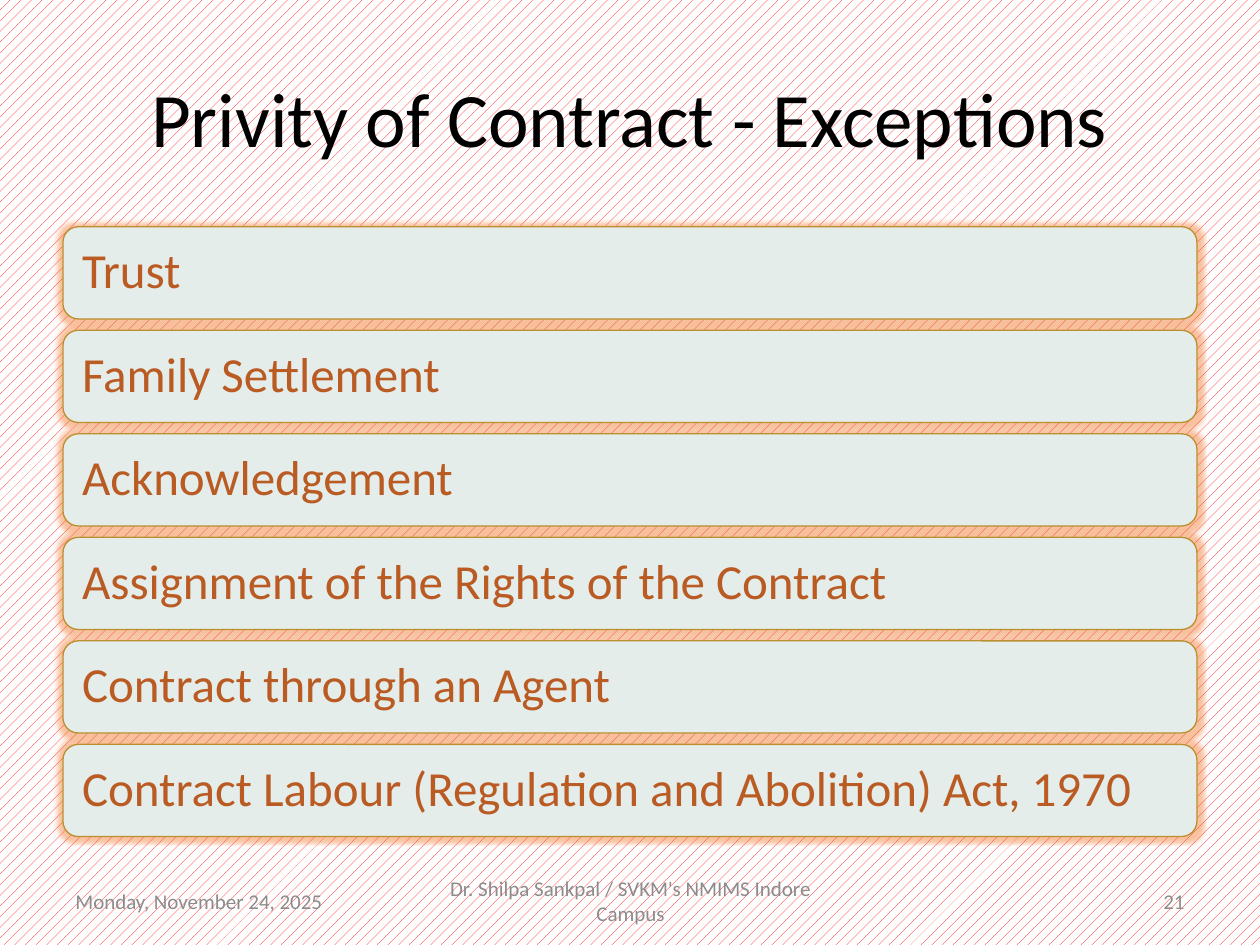
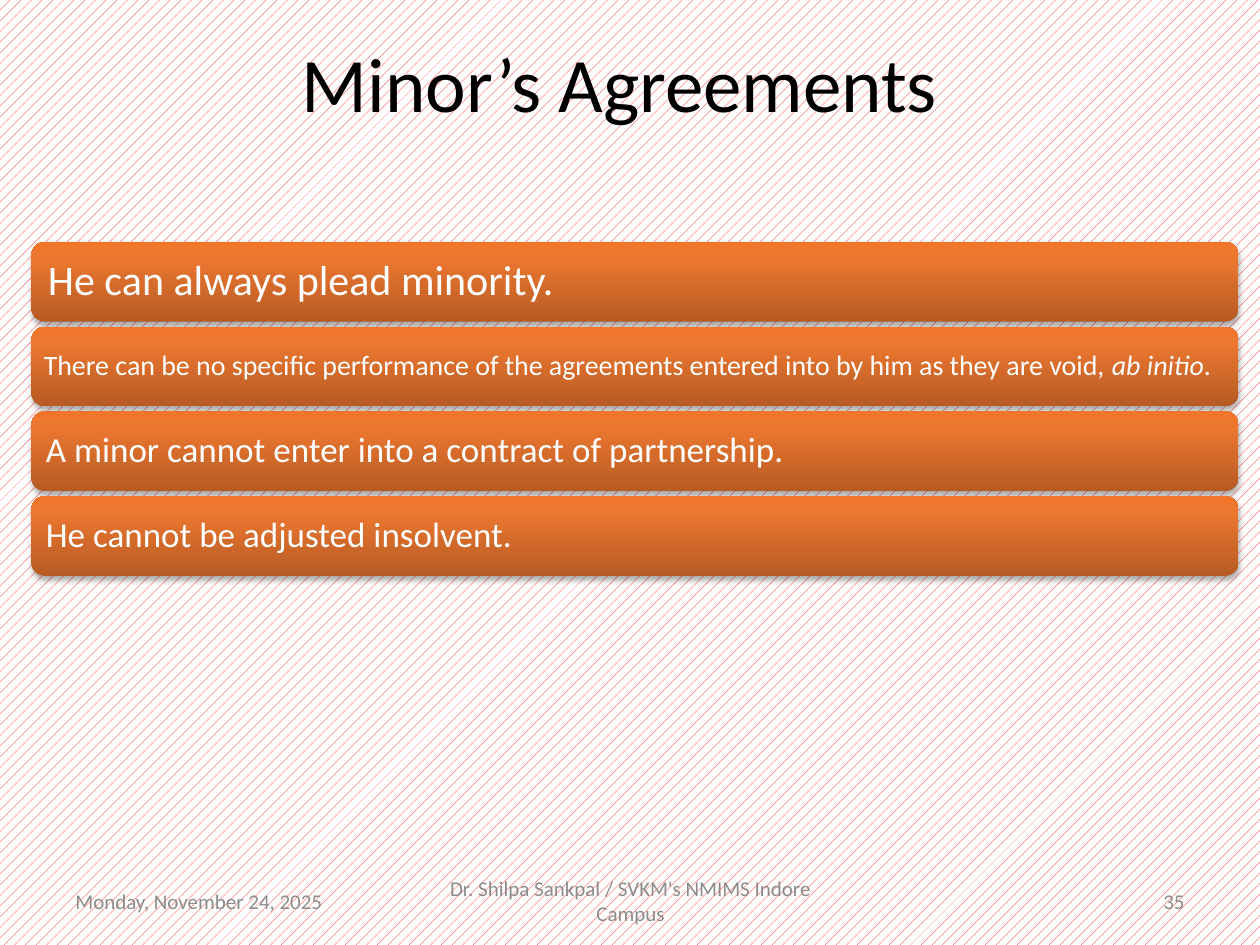
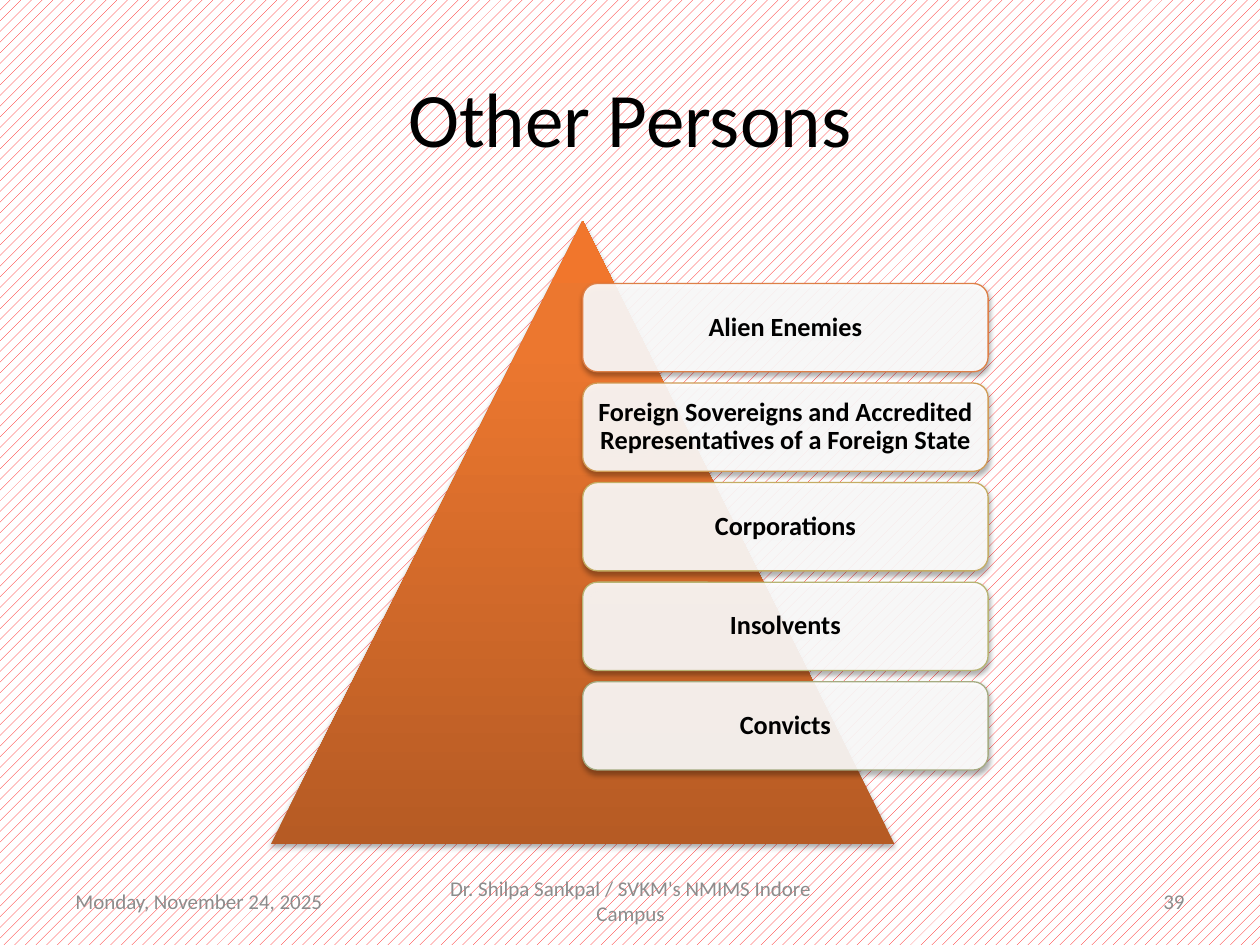
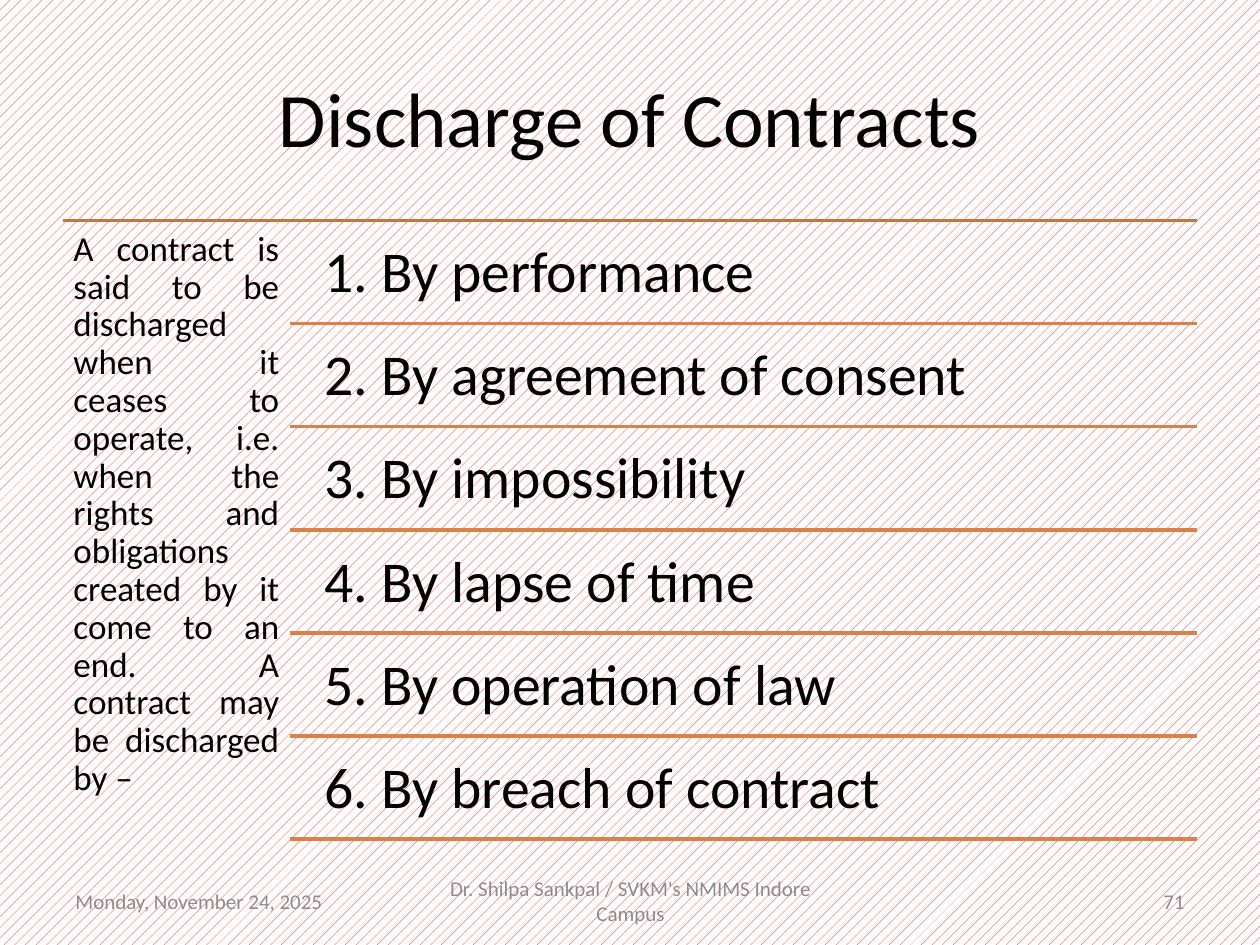
from copy import deepcopy

from lxml import etree
from pptx import Presentation
from pptx.dml.color import RGBColor
from pptx.enum.dml import MSO_PATTERN
from pptx.enum.shapes import MSO_CONNECTOR, MSO_SHAPE
from pptx.enum.text import MSO_ANCHOR, PP_ALIGN
from pptx.oxml.ns import qn
from pptx.util import Inches, Pt

LEFT, CENTER, RIGHT, JUSTIFY = PP_ALIGN.LEFT, PP_ALIGN.CENTER, PP_ALIGN.RIGHT, PP_ALIGN.JUSTIFY
TOP, MIDDLE = MSO_ANCHOR.TOP, MSO_ANCHOR.MIDDLE
ROUNDED, TRIANGLE = MSO_SHAPE.ROUNDED_RECTANGLE, MSO_SHAPE.ISOSCELES_TRIANGLE
STRAIGHT = MSO_CONNECTOR.STRAIGHT
DOTS = MSO_PATTERN.PERCENT_20

FONT = "Calibri"
BLACK = RGBColor(0x00, 0x00, 0x00)
WHITE = RGBColor(0xFF, 0xFF, 0xFF)
RED = RGBColor(0xFF, 0x00, 0x00)
GREY = RGBColor(0x8C, 0x8C, 0x8C)
RUST = RGBColor(0xB9, 0x5B, 0x22)
MIST = RGBColor(0xE5, 0xED, 0xEB)
OCHRE = RGBColor(0xBA, 0x8F, 0x2D)
ORANGE = RGBColor(0xDD, 0x80, 0x47)
BROWN = RGBColor(0xC9, 0x74, 0x40)
GLOW = RGBColor(0xF1, 0x76, 0x2C)
GRADIENT = [(0, RGBColor(0xB6, 0x5B, 0x24)),
            (0.8, RGBColor(0xEC, 0x77, 0x2F)),
            (1, RGBColor(0xF1, 0x76, 0x2C))]
CARD_LINES = [ORANGE, RGBColor(0xD0, 0x9C, 0x56), RGBColor(0xC4, 0xAD, 0x64),
              RGBColor(0xB7, 0xB4, 0x73), RGBColor(0xA5, 0xAB, 0x81)]

TITLE_BOX = (0.5, 0.3, 9, 1.25)
DATE = "Monday, November 24, 2025"
AUTHOR = "Dr. Shilpa Sankpal / SVKM's NMIMS Indore Campus"


def write(shape, runs, size, color, align=LEFT, anchor=MIDDLE, spacing=None,
          inset=None, bold=None):
    """Fill a shape with one paragraph; runs is a string or (text, italic) pairs."""
    frame = shape.text_frame
    frame.word_wrap = True
    frame.vertical_anchor = anchor
    if inset is not None:
        for side in ("left", "top", "right", "bottom"):
            setattr(frame, f"margin_{side}", inset)
    paragraph = frame.paragraphs[0]
    paragraph.alignment = align
    if spacing:
        paragraph.line_spacing = spacing
    for text, italic in [(runs, None)] if isinstance(runs, str) else runs:
        run = paragraph.add_run()
        run.text = text
        run.font.color.rgb = color
        formats = {"name": FONT, "size": Pt(size), "bold": bold, "italic": italic}
        for name, value in formats.items():
            setattr(run.font, name, value)


def write_item(shape, runs, size, color, **options):
    """Diagram text: tight lines, with margins that grow with the text size."""
    write(shape, runs, size, color, spacing=0.9, inset=Pt(size * 0.3), **options)


def add_text_box(slide, box):
    return slide.shapes.add_textbox(*map(Inches, box))


def add_panel(slide, kind, box):
    panel = slide.shapes.add_shape(kind, *map(Inches, box))
    panel.shadow.inherit = False
    panel.line.fill.background()
    return panel


def outline(panel, color):
    panel.line.color.rgb = color
    panel.line.width = Pt(0.75)


def fill_solid(panel, color):
    panel.fill.solid()
    panel.fill.fore_color.rgb = color


def add_alpha(color_element, percent):
    etree.SubElement(color_element, qn("a:alpha"), val=str(percent * 1000))


def add_effect(panel, kind, color, percent, **settings):
    effects = panel._element.spPr.find(qn("a:effectLst"))
    effect = etree.SubElement(effects, qn(f"a:{kind}"),
                              {name: str(value) for name, value in settings.items()})
    add_alpha(etree.SubElement(effect, qn("a:srgbClr"), val=str(color)), percent)


def add_shadow(panel):
    add_effect(panel, "outerShdw", BLACK, 35, blurRad=Pt(3.1), dist=Pt(1.8),
               dir=5400000, rotWithShape=0)


def fill_gradient(panel):
    panel.fill.gradient()
    panel.fill.gradient_angle = 90
    stops = panel._element.spPr.find(f".//{qn('a:gsLst')}")
    stops.insert(1, deepcopy(stops[0]))
    for stop, (position, color) in zip(panel.fill.gradient_stops, GRADIENT):
        stop.position = position
        stop.color.rgb = color
    add_shadow(panel)


def add_rule(slide, x1, x2, y, color):
    rule = slide.shapes.add_connector(STRAIGHT, *map(Inches, (x1, y, x2, y)))
    rule.line.color.rgb = color
    rule.line.width = Pt(2)
    etree.SubElement(rule._element.spPr, qn("a:effectLst"))


def stack(box, count, gap):
    """Split a box into equal rows with a gap between them."""
    x, y, width, height = box
    row_height = (height - gap * (count - 1)) / count
    return [(x, y + i * (row_height + gap), width, row_height) for i in range(count)]


def add_footer(slide, number):
    for x, width, text, align in [(0.5, 2.33, DATE, LEFT),
                                  (3.42, 3.17, AUTHOR, CENTER),
                                  (7.17, 2.33, str(number), RIGHT)]:
        write(add_text_box(slide, (x, 6.95, width, 0.4)), text, 12, GREY, align)


def new_slide(deck, title, number, title_box=TITLE_BOX):
    slide = deck.slides.add_slide(deck.slide_layouts[5])
    backdrop = slide.background.fill
    backdrop.patterned()
    backdrop.pattern = DOTS
    backdrop.fore_color.rgb = RED
    backdrop.back_color.rgb = WHITE
    heading = slide.shapes.title
    for name, value in zip(("left", "top", "width", "height"), title_box):
        setattr(heading, name, Inches(value))
    write(heading, title, 44, BLACK, CENTER)
    add_footer(slide, number)
    return slide


def add_glowing_bars(slide, box, items):
    for row, item in zip(stack(box, len(items), 0.09), items):
        bar = add_panel(slide, ROUNDED, row)
        fill_solid(bar, MIST)
        outline(bar, OCHRE)
        add_effect(bar, "glow", GLOW, 45, rad=Pt(5))
        write_item(bar, item, 28, RUST)


def add_gradient_bars(slide, box, items):
    for row, (runs, size) in zip(stack(box, len(items), 0.04), items):
        bar = add_panel(slide, ROUNDED, row)
        fill_gradient(bar)
        write_item(bar, runs, size, WHITE)


def add_pyramid(slide, box, items):
    x, y, side, _ = box
    fill_gradient(add_panel(slide, TRIANGLE, box))
    cards = (x + side / 2, y + 0.5, side * 0.65, side * 0.78)
    for row, item, color in zip(stack(cards, len(items), 0.09), items, CARD_LINES):
        card = add_panel(slide, ROUNDED, row)
        fill_solid(card, WHITE)
        add_alpha(card._element.spPr.find(f"{qn('a:solidFill')}/{qn('a:srgbClr')}"), 90)
        outline(card, color)
        add_shadow(card)
        write_item(card, item, 15, BLACK, align=CENTER, bold=True)


def add_ruled_list(slide, box, intro, items):
    """Lead text in the left fifth, numbered and ruled rows beside it."""
    x, y, width, height = box
    intro_width = width / 5
    right = x + width
    add_rule(slide, x, right, y, BROWN)
    write_item(add_text_box(slide, (x, y, intro_width, height)), intro, 20, BLACK,
               align=JUSTIFY, anchor=TOP)
    rows = stack((x + intro_width, y + 0.04, width - intro_width, height - 0.08),
                 len(items), 0.04)
    for number, ((left, top, row_width, row_height), item) in enumerate(zip(rows, items), 1):
        label = add_text_box(slide, (left + 0.14, top, row_width - 0.14, row_height))
        write_item(label, f"{number}. {item}", 33, BLACK, anchor=TOP)
        add_rule(slide, left, right, top + row_height, ORANGE)


def main():
    deck = Presentation()
    deck.slide_width, deck.slide_height = Inches(10), Inches(7.5)

    privity = new_slide(deck, "Privity of Contract - Exceptions", 21)
    add_glowing_bars(privity, (0.5, 1.8, 9, 4.84), [
        "Trust",
        "Family Settlement",
        "Acknowledgement",
        "Assignment of the Rights of the Contract",
        "Contract through an Agent",
        "Contract Labour (Regulation and Abolition) Act, 1970",
    ])

    minors = new_slide(deck, "Minor’s Agreements", 35, (0.42, 0.02, 9, 1.25))
    add_gradient_bars(minors, (0.25, 1.92, 9.58, 2.65), [
        ("He can always plead minority.", 24),
        ([("There can be no specific performance of the agreements entered into "
           "by him as they are void, ", False), ("ab initio", True), (".", False)], 16),
        ("A minor cannot enter into a contract of partnership.", 20),
        ("He cannot be adjusted insolvent.", 20),
    ])

    others = new_slide(deck, "Other Persons", 39)
    add_pyramid(others, (2.15, 1.75, 4.95, 4.95), [
        "Alien Enemies",
        "Foreign Sovereigns and Accredited Representatives of a Foreign State",
        "Corporations",
        "Insolvents",
        "Convicts",
    ])

    discharge = new_slide(deck, "Discharge of Contracts", 71)
    add_ruled_list(
        discharge, (0.5, 1.75, 9, 4.95),
        "A contract is said to be discharged when it ceases to operate, i.e. when the "
        "rights and obligations created by it come to an end. A contract may be "
        "discharged by –",
        ["By performance", "By agreement of consent", "By impossibility",
         "By lapse of time", "By operation of law", "By breach of contract"])

    deck.save("out.pptx")


if __name__ == "__main__":
    main()
